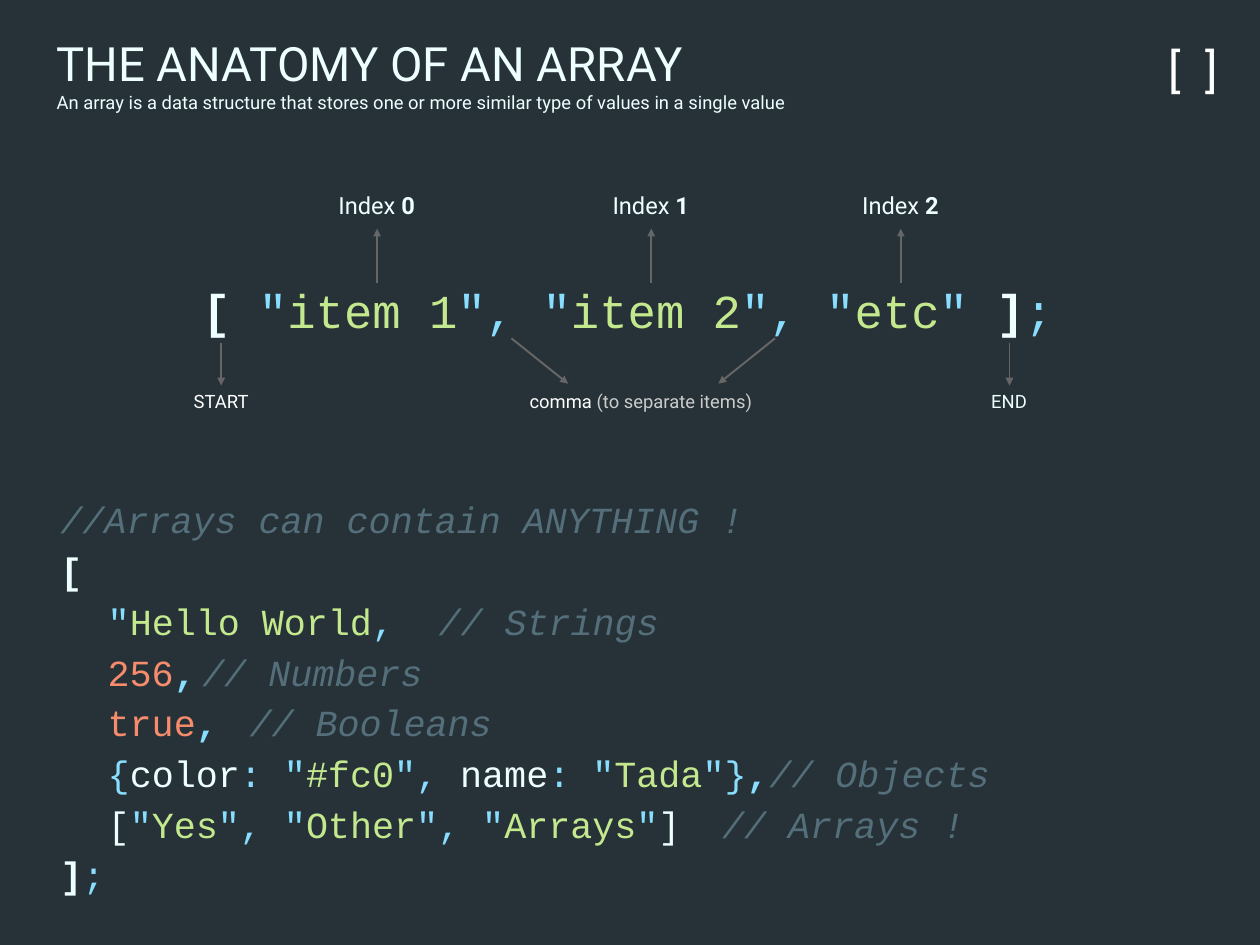
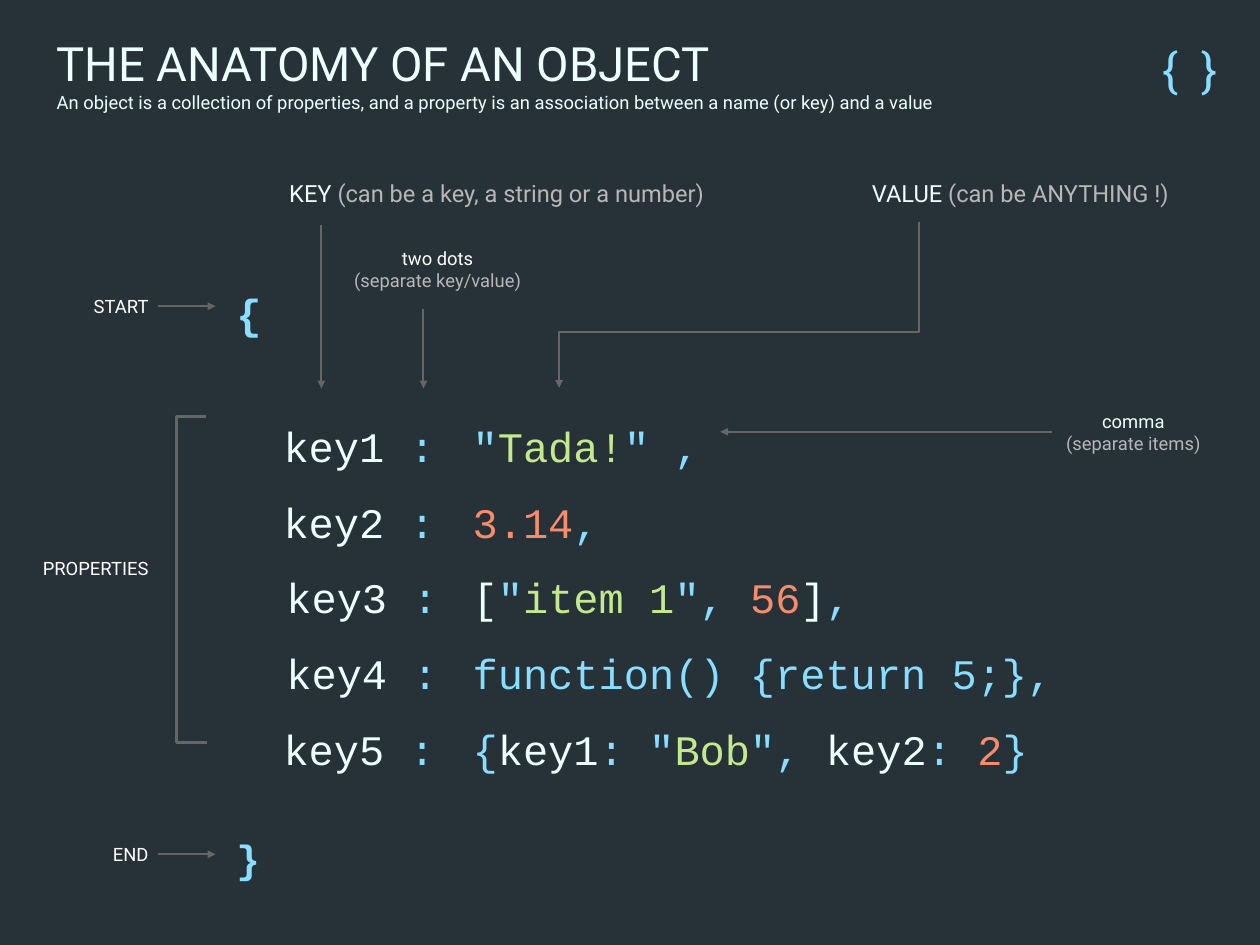
from lxml.etree import SubElement
from pptx import Presentation
from pptx.dml.color import RGBColor
from pptx.enum.shapes import MSO_CONNECTOR as Link
from pptx.enum.text import MSO_ANCHOR as Anchor, PP_ALIGN as Align
from pptx.oxml.ns import qn
from pptx.util import Inches, Pt

# Palette and fonts
NIGHT = RGBColor(0x26, 0x32, 0x38)
PALE = RGBColor(0xEE, 0xFF, 0xFF)
WHITE = RGBColor(0xFF, 0xFF, 0xFF)
CYAN = RGBColor(0x89, 0xDD, 0xFF)
GREEN = RGBColor(0xC3, 0xE8, 0x8D)
ORANGE = RGBColor(0xF7, 0x8C, 0x6C)
SLATE = RGBColor(0x54, 0x6E, 0x7A)
SILVER = RGBColor(0xCC, 0xCC, 0xCC)
ASH = RGBColor(0xB7, 0xB7, 0xB7)
GREY = RGBColor(0x66, 0x66, 0x66)
SANS, MONO = "Roboto", "Courier New"

# Code lines: (format, spans); a span is (text, colour, optional bold/italic letters)
NESTED = {"indent": 0.5}
ARRAY_CODE = [
    ({"size": 36, "indent": 1.5},
     [("[ ", PALE, "b"), ('"', CYAN), ("item 1", GREEN), ('", "', CYAN), ("item 2", GREEN),
      ('", "', CYAN), ("etc", GREEN), ('" ', CYAN), ("]", PALE, "b"), (";", CYAN)]),
    ({"before": 116}, [("//Arrays can contain ANYTHING !", SLATE, "i")]),
    ({}, [("[", PALE, "b")]),
    (NESTED, [('"', CYAN), ("Hello World", GREEN), (",\t", CYAN), ("// Strings", SLATE, "i")]),
    (NESTED, [("256", ORANGE), (",\t", CYAN, "b"), ("// Numbers", SLATE, "i")]),
    (NESTED, [("true", ORANGE), (",\t", CYAN, "b"), ("// Booleans", SLATE, "i")]),
    (NESTED, [("{", CYAN), ("color", PALE), (': "', CYAN), ("#fc0", GREEN), ('", ', CYAN),
              ("name", PALE), (': "', CYAN), ("Tada", GREEN), ('"}', CYAN),
              (",\t", CYAN, "b"), ("// Objects", SLATE, "i")]),
    (NESTED, [("[", PALE), ('"', CYAN), ("Yes", GREEN), ('", "', CYAN), ("Other", GREEN),
              ('", "', CYAN), ("Arrays", GREEN), ('"', CYAN), ("]\t", PALE),
              ("// Arrays !", SLATE, "i")]),
    ({}, [("]", PALE, "b"), (";", CYAN)]),
]
PROPERTY = {"indent": 0.5, "spacing": 1.5}
SHIFTED = {"indent": 0.53, "spacing": 1.5}
OBJECT_CODE = [
    ({}, [("{", CYAN, "b")]),
    (PROPERTY | {"before": 44},
     [("key1 ", PALE), (':\t"', CYAN), ("Tada!", GREEN), ('" ,', CYAN)]),
    (PROPERTY, [("key2 ", PALE), (":\t", CYAN), ("3.14", ORANGE), (",", CYAN)]),
    (SHIFTED, [("key3 ", PALE), (":\t", CYAN), ("[", PALE), ('"', CYAN), ("item 1", GREEN),
               ('", ', CYAN), ("56", ORANGE), ("]", PALE), (",", CYAN)]),
    (SHIFTED, [("key4 ", PALE), (":\tfunction() {return 5;},", CYAN)]),
    (PROPERTY, [("key5", PALE), (" :\t{", CYAN), ("key1", PALE), (': "', CYAN), ("Bob", GREEN),
                ('", ', CYAN), ("key2", PALE), (": ", CYAN), ("2", ORANGE), ("}", CYAN)]),
    ({"size": 30, "before": 41}, [("}", CYAN, "b")]),
]

# Labels: (box, size, alignment, lines of spans); arrows run from start to tip
INDEX_CENTRES = [3.99, 6.89, 9.53]
ARRAY_LABELS = [
    ((x - 0.89, 1.84, 1.77, 0.66), 18, Align.CENTER, [[("Index ", PALE), (str(number), PALE, "b")]])
    for number, x in enumerate(INDEX_CENTRES)
] + [
    ((1.5, 3.99, 1.68, 0.5), 14, Align.CENTER, [[("START", WHITE)]]),
    ((9.87, 3.99, 1.61, 0.5), 14, Align.CENTER, [[("END", PALE)]]),
    ((5.19, 3.99, 3.18, 0.5), 14, Align.CENTER,
     [[("comma ", WHITE), ("(to separate items)", SILVER)]]),
]
ARRAY_ARROWS = [(x, 2.99, x, 2.42) for x in INDEX_CENTRES] + [
    (2.34, 3.63, 2.34, 4.08), (10.68, 3.63, 10.68, 4.08),
    (5.41, 3.58, 6.01, 4.06), (8.2, 3.58, 7.6, 4.06),
]
OBJECT_LABELS = [
    ((2.66, 1.82, 5.19, 0.45), 18, Align.CENTER,
     [[("KEY ", PALE), ("(can be a key, a string or a number)", ASH)]]),
    ((9.05, 1.82, 3.49, 0.45), 18, Align.CENTER,
     [[("VALUE ", PALE), ("(can be ANYTHING !)", ASH)]]),
    ((3.53, 2.56, 2.2, 0.57), 14, Align.CENTER,
     [[("two dots", WHITE)], [("(separate key/value)", ASH)]]),
    ((11.13, 4.19, 1.72, 0.76), 14, Align.CENTER,
     [[("comma", PALE)], [("(separate items)", ASH)]]),
] + [
    ((0.25, top, 1.42, 0.54), 14, Align.RIGHT, [[(word, WHITE)]])
    for word, top in [("START", 2.97), ("PROPERTIES", 5.74), ("END", 8.77)]
]
OBJECT_ARROWS = [
    (3.4, 2.38, 3.4, 4.11), (4.48, 3.27, 4.48, 4.11), (11.13, 4.57, 7.62, 4.57),
    (1.67, 3.24, 2.28, 3.24), (1.67, 9.04, 2.28, 9.04),
]
BRACKET = [(2.19, 7.86), (1.87, 7.86), (1.87, 4.41), (2.18, 4.41)]

SLIDES = [
    {"title": "THE ANATOMY OF AN ARRAY",
     "subtitle": "An array is a data structure that stores one or more similar type of values "
                 "in a single value",
     "mark": ("[", "]", WHITE),
     "code": ((0.5, 2.82, 12.34, 6.79), 28, 9, ARRAY_CODE),
     "labels": ARRAY_LABELS, "arrows": ARRAY_ARROWS},
    {"title": "THE ANATOMY OF AN OBJECT",
     "subtitle": "An object is a collection of properties, and a property is an association "
                 "between a name (or key) and a value",
     "mark": ("{", "}", CYAN),
     "code": ((2.36, 2.89, 10.04, 6.54), 32, 3, OBJECT_CODE),
     "labels": OBJECT_LABELS, "arrows": OBJECT_ARROWS},
]


def add_box(page, at, margins, anchor):
    frame = page.shapes.add_textbox(*map(Inches, at)).text_frame
    across, down = map(Inches, margins)
    settings = {"word_wrap": True, "vertical_anchor": anchor,
                "margin_left": across, "margin_right": across,
                "margin_top": down, "margin_bottom": down}
    for name, value in settings.items():
        setattr(frame, name, value)
    return frame


def next_para(frame, number):
    return frame.add_paragraph() if number else frame.paragraphs[0]


def add_spans(para, spans, size, font):
    for text, colour, *flags in spans:
        span = para.add_run()
        span.text = text
        look = {"size": Pt(size), "name": font, "bold": "b" in flags, "italic": "i" in flags}
        for name, value in look.items():
            setattr(span.font, name, value)
        span.font.color.rgb = colour


def add_label(page, at, size, align, lines):
    frame = add_box(page, at, (0.1, 0.1), Anchor.MIDDLE)
    for number, spans in enumerate(lines):
        para = next_para(frame, number)
        para.alignment = align
        add_spans(para, spans, size, SANS)
    return frame


def add_code(page, at, size, tab, lines):
    frame = add_box(page, at, (0.14, 0.07), Anchor.TOP)
    for number, (style, spans) in enumerate(lines):
        para = next_para(frame, number)
        para.line_spacing = style.get("spacing", 1.15)
        para.space_before = Pt(style.get("before", 0))
        add_spans(para, spans, style.get("size", size), MONO)
        # First-line indent and the column after the tab
        props = para._p.get_or_add_pPr()
        props.set("marL", "0")
        props.set("indent", str(Inches(style.get("indent", 0))))
        tabs = SubElement(props, qn("a:tabLst"))
        SubElement(tabs, qn("a:tab"), pos=str(Inches(tab)), algn="l")


def add_arrow(page, ends, kind=Link.STRAIGHT):
    arrow = page.shapes.add_connector(kind, *map(Inches, ends))
    arrow.line.color.rgb = GREY
    arrow.line.width = Pt(1.5)
    SubElement(arrow.line._get_or_add_ln(), qn("a:tailEnd"), type="triangle")
    SubElement(arrow._element.spPr, qn("a:effectLst"))
    return arrow


def add_value_arrow(page):
    # Elbow turned a quarter so that it leaves downwards
    arrow = add_arrow(page, (6.94, 1.32, 8.7, 5.13), Link.ELBOW)
    props = arrow._element.spPr
    props.find(qn("a:xfrm")).set("rot", "5400000")
    guides = props.find(qn("a:prstGeom")).find(qn("a:avLst"))
    SubElement(guides, qn("a:gd"), name="adj1", fmla="val 66700")


def add_bracket(page):
    points = [(Inches(x), Inches(y)) for x, y in BRACKET]
    builder = page.shapes.build_freeform(*points[0])
    builder.add_line_segments(points[1:], close=False)
    bracket = builder.convert_to_shape()
    bracket.shadow.inherit = False
    bracket.fill.background()
    bracket.line.color.rgb = GREY
    bracket.line.width = Pt(2.25)


def add_header(page, title, subtitle, mark):
    frame = add_box(page, (0.5, 0.35, 12.25, 0.86), (0.1, 0.1), Anchor.MIDDLE)
    for number, (text, size) in enumerate([(title, 36), (subtitle, 14)]):
        add_spans(next_para(frame, number), [(text, PALE)], size, SANS)
    # Corner mark, with the gap widened by letter spacing
    opening, closing, colour = mark
    corner = add_label(page, (12.01, 0.35, 0.97, 0.75), 36, Align.RIGHT,
                       [[(opening + " ", colour), (closing, colour)]])
    corner.paragraphs[0].runs[0].font._element.set("spc", "450")


def main():
    deck = Presentation()
    deck.slide_width, deck.slide_height = Inches(13.33), Inches(10)
    pages = []
    for content in SLIDES:
        page = deck.slides.add_slide(deck.slide_layouts[6])
        page.background.fill.solid()
        page.background.fill.fore_color.rgb = NIGHT
        add_code(page, *content["code"])
        for label in content["labels"]:
            add_label(page, *label)
        for ends in content["arrows"]:
            add_arrow(page, ends)
        add_header(page, content["title"], content["subtitle"], content["mark"])
        pages.append(page)
    add_value_arrow(pages[1])
    add_bracket(pages[1])
    deck.save("out.pptx")


if __name__ == "__main__":
    main()
